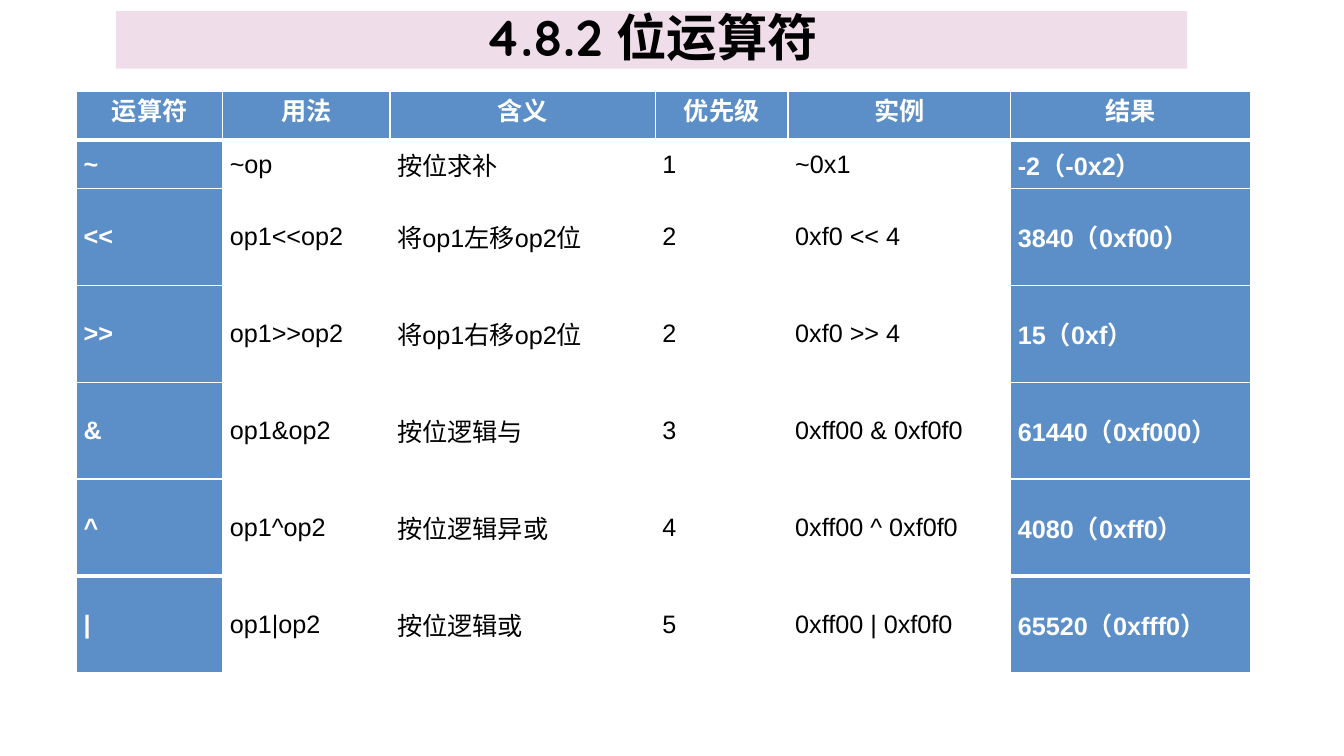
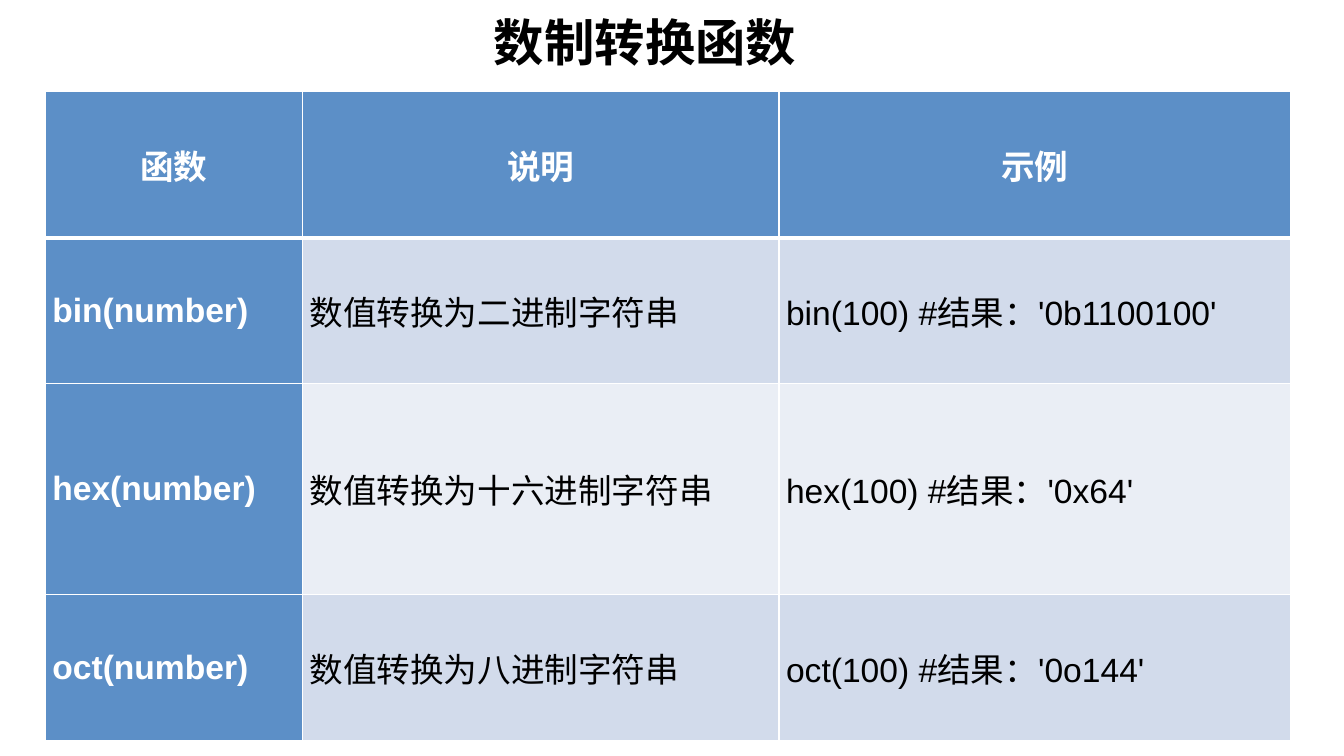
"""Build two slides of tables about bitwise operators and number base functions."""
from dataclasses import dataclass

from lxml.etree import SubElement
from pptx import Presentation
from pptx.dml.color import RGBColor
from pptx.enum.shapes import MSO_SHAPE as Shape
from pptx.enum.text import MSO_ANCHOR as Anchor, PP_ALIGN as Align
from pptx.oxml.ns import qn
from pptx.util import Cm, Pt

BLUE = RGBColor(0x5C, 0x8F, 0xC7)
PINK = RGBColor(0xEF, 0xDE, 0xEA)
PALE = RGBColor(0xD2, 0xDB, 0xEB)
PALER = RGBColor(0xEA, 0xEE, 0xF5)
WHITE = RGBColor(0xFF, 0xFF, 0xFF)
BLACK = RGBColor(0x00, 0x00, 0x00)

BODY_FONT = "Arial"
TABLE_TOP = 2.31
CELL_INSET = Cm(0.18)
THIN, THICK = Pt(1), Pt(3)


@dataclass(frozen=True)
class Title:
    text: str
    box: tuple[float, float, float, float]
    font: str = BODY_FONT
    fill: RGBColor | None = None


@dataclass(frozen=True)
class Grid:
    left: float
    widths: tuple[float, ...]
    heights: tuple[float, ...]
    rows: tuple[tuple[str, ...], ...]
    size: int
    bands: tuple[RGBColor, ...]
    blue_columns: tuple[int, ...]
    thick_rules: tuple[int, ...]
    header_anchor: Anchor


@dataclass(frozen=True)
class Page:
    title: Title
    grid: Grid


PAGES = (
    Page(
        Title("4.8.2 位运算符", (2.92, 0.28, 27, 1.45), "Quicksand", PINK),
        Grid(
            left=1.93,
            widths=(3.68, 4.22, 6.68, 3.35, 5.61, 6.05),
            heights=(1.22,) * 2 + (2.44,) * 5,
            rows=(
                ("运算符", "用法", "含义", "优先级", "实例", "结果"),
                ("~", "~op", "按位求补", "1", "~0x1", "-2（-0x2）"),
                ("<<", "op1<<op2", "将op1左移op2位", "2", "0xf0 << 4", "3840（0xf00）"),
                (">>", "op1>>op2", "将op1右移op2位", "2", "0xf0 >> 4", "15（0xf）"),
                ("&", "op1&op2", "按位逻辑与", "3", "0xff00 & 0xf0f0", "61440（0xf000）"),
                ("^", "op1^op2", "按位逻辑异或", "4", "0xff00 ^ 0xf0f0", "4080（0xff0）"),
                ("|", "op1|op2", "按位逻辑或", "5", "0xff00 | 0xf0f0", "65520（0xfff0）"),
            ),
            size=18,
            bands=(WHITE,),
            blue_columns=(0, 5),
            thick_rules=(1, 6),
            header_anchor=Anchor.TOP,
        ),
    ),
    Page(
        Title("数制转换函数", (2.72, 0.33, 27.08, 1.6)),
        Grid(
            left=1.14,
            widths=(6.48, 12.01, 12.9),
            heights=(3.68, 3.68, 5.31, 3.68),
            rows=(
                ("函数", "说明", "示例"),
                ("bin(number)", "数值转换为二进制字符串", "bin(100) #结果：'0b1100100'"),
                ("hex(number)", "数值转换为十六进制字符串", "hex(100) #结果：'0x64'"),
                ("oct(number)", "数值转换为八进制字符串", "oct(100) #结果：'0o144'"),
            ),
            size=24,
            bands=(PALE, PALER),
            blue_columns=(0,),
            thick_rules=(1,),
            header_anchor=Anchor.MIDDLE,
        ),
    ),
)


def add_run(p, text: str, font: str, size: int, color: RGBColor, bold: bool) -> None:
    r = p.add_run()
    r.text = text
    r.font.name = font
    r.font.size = Pt(size)
    r.font.bold = bold
    r.font.color.rgb = color


def add_title(s, title: Title) -> None:
    box = [Cm(v) for v in title.box]
    if title.fill is None:
        sp = s.shapes.add_textbox(*box)
    else:
        sp = s.shapes.add_shape(Shape.RECTANGLE, *box)
        sp.shadow.inherit = False
        sp.fill.solid()
        sp.fill.fore_color.rgb = title.fill
        sp.line.fill.background()
    tf = sp.text_frame
    tf.word_wrap = True
    tf.vertical_anchor = Anchor.MIDDLE
    p = tf.paragraphs[0]
    p.alignment = Align.CENTER
    p.line_spacing = 0.9
    add_run(p, title.text, title.font, 36, BLACK, True)


def set_borders(cell, top: int, bottom: int) -> None:
    tc_pr = cell._tc.get_or_add_tcPr()
    edges = (("L", THIN), ("R", THIN), ("T", top), ("B", bottom))
    for i, (side, width) in enumerate(edges):
        ln = SubElement(tc_pr, qn(f"a:ln{side}"), w=str(int(width)))
        fill = SubElement(ln, qn("a:solidFill"))
        SubElement(fill, qn("a:srgbClr"), val=str(WHITE))
        tc_pr.insert(i, ln)


def add_grid(s, grid: Grid) -> None:
    frame = s.shapes.add_table(
        len(grid.rows), len(grid.widths), Cm(grid.left), Cm(TABLE_TOP),
        Cm(sum(grid.widths)), Cm(sum(grid.heights)))
    table = frame.table
    for column, width in zip(table.columns, grid.widths):
        column.width = Cm(width)
    for i, (height, texts) in enumerate(zip(grid.heights, grid.rows)):
        table.rows[i].height = Cm(height)
        top, bottom = (THICK if n in grid.thick_rules else THIN for n in (i, i + 1))
        for j, text in enumerate(texts):
            header = i == 0
            blue = header or j in grid.blue_columns
            cell = table.cell(i, j)
            cell.margin_left = cell.margin_right = CELL_INSET
            cell.margin_top = cell.margin_bottom = 0
            cell.vertical_anchor = grid.header_anchor if header else Anchor.MIDDLE
            cell.fill.solid()
            cell.fill.fore_color.rgb = BLUE if blue else grid.bands[(i - 1) % len(grid.bands)]
            set_borders(cell, top, bottom)
            p = cell.text_frame.paragraphs[0]
            p.alignment = Align.CENTER if header else Align.JUSTIFY
            add_run(p, text, BODY_FONT, grid.size, WHITE if blue else BLACK, blue)


def main() -> None:
    prs = Presentation()
    prs.slide_width, prs.slide_height = Cm(33.87), Cm(19.05)
    for page in PAGES:
        s = prs.slides.add_slide(prs.slide_layouts[6])
        add_title(s, page.title)
        add_grid(s, page.grid)
    prs.save("out.pptx")


if __name__ == "__main__":
    main()
